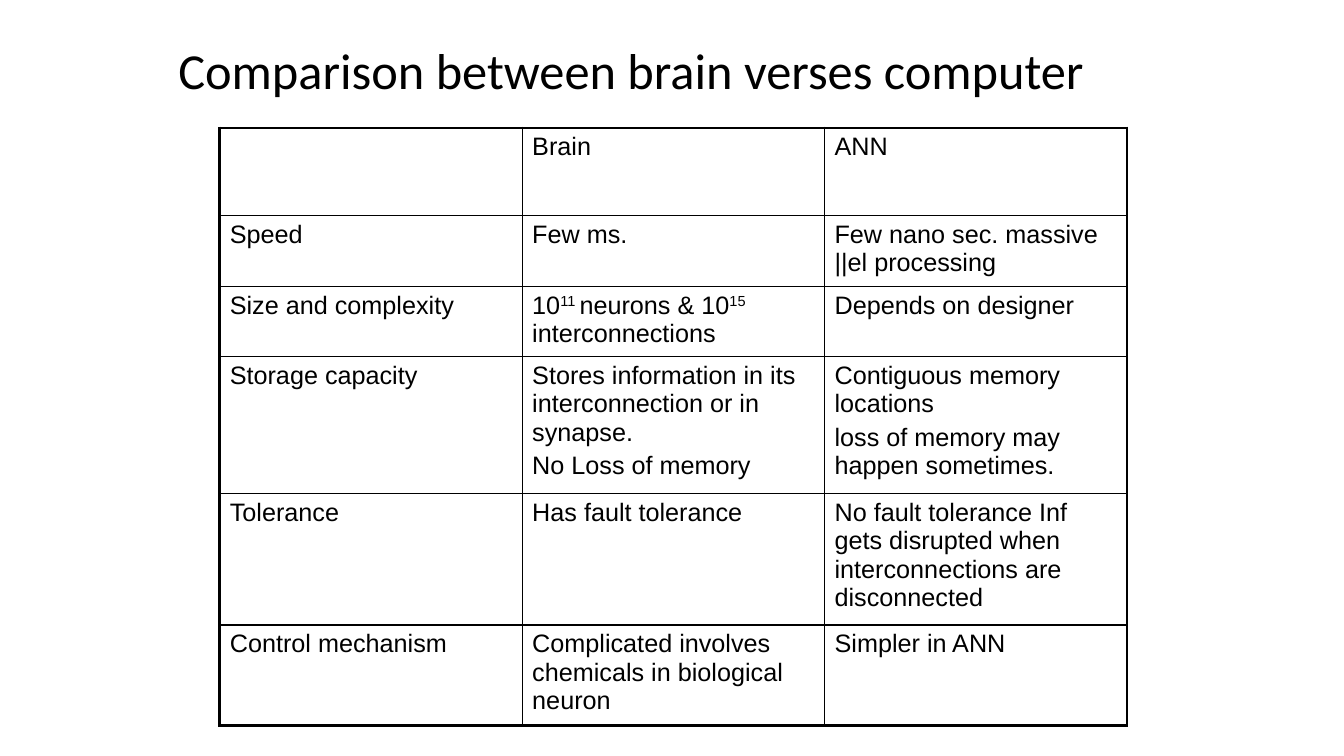
from dataclasses import dataclass

from lxml.etree import SubElement
from pptx import Presentation
from pptx.dml.color import RGBColor
from pptx.enum.text import MSO_ANCHOR
from pptx.oxml import parse_xml
from pptx.oxml.ns import nsdecls, qn
from pptx.table import _Cell as Cell
from pptx.text.text import TextFrame
from pptx.util import Inches, Pt


# Theme: colours, fonts, type sizes and line widths
@dataclass(frozen=True)
class Theme:
    ink: str = "000000"
    head: str = "Calibri"
    body: str = "Arial"
    large: int = 36
    small: int = 18
    thin: float = 1
    thick: float = 2.25


@dataclass(frozen=True)
class Box:
    """Place and size in per cent of the slide."""
    left: float
    top: float
    width: float
    height: float


@dataclass(frozen=True)
class Row:
    """Height in per cent of the slide, and one text per column.
    A line break starts a paragraph; carets enclose a superscript."""
    height: float
    cells: tuple[str, ...]


THEME = Theme()
WIDE, HIGH = Inches(13.33), Inches(7.5)
TITLE = Box(12.53, 4, 73, 11.33)
GRID = Box(16.35, 16.93, 67.5, 79.07)
ROWS = (
    Row(11.6, ("", "Brain", "ANN")),
    Row(9.33, ("Speed", "Few ms.", "Few nano sec. massive ||el processing")),
    Row(9.33, ("Size and complexity",
               "10^11 ^neurons & 10^15 ^interconnections",
               "Depends on designer")),
    Row(18.13, ("Storage capacity",
                "Stores information in its interconnection or in synapse.\n"
                "No Loss of memory",
                "Contiguous memory locations\n"
                "loss of memory may happen sometimes.")),
    Row(17.33, ("Tolerance", "Has fault tolerance",
                "No fault tolerance Inf gets disrupted when "
                "interconnections are disconnected")),
    Row(13.33, ("Control mechanism",
                "Complicated involves chemicals in biological neuron",
                "Simpler in ANN")),
)


def across(share: float) -> int:
    return round(WIDE * share / 100)


def down(share: float) -> int:
    return round(HIGH * share / 100)


def place(box: Box) -> tuple[int, int, int, int]:
    return across(box.left), down(box.top), across(box.width), down(box.height)


def write(frame: TextFrame, text: str, *, font: str, size: float,
          lead: float = 1, gap: int = 0) -> None:
    """Write paragraphs; gap is the space before, in per cent of a line."""
    for i, line in enumerate(text.split("\n")):
        para = frame.add_paragraph() if i else frame.paragraphs[0]
        para.line_spacing = lead
        para.font.size = Pt(size)
        if gap:
            space = SubElement(para._p.get_or_add_pPr(), qn("a:spcBef"))
            para._p.pPr.find(qn("a:lnSpc")).addnext(space)
            SubElement(space, qn("a:spcPct")).set("val", str(gap * 1000))
        for j, part in enumerate(line.split("^")):
            if not part:
                continue
            run = para.add_run()
            run.text = part
            run.font.name, run.font.size = font, Pt(size)
            run.font.color.rgb = RGBColor.from_string(THEME.ink)
            if j % 2:
                run._r.get_or_add_rPr().set("baseline", "30000")


def edge(cell: Cell, outer: dict[str, bool]) -> None:
    """Draw the four borders, thick on the outside of the table."""
    props = cell._tc.get_or_add_tcPr()
    for i, side in enumerate("LRTB"):
        width = Pt(THEME.thick if outer[side] else THEME.thin)
        props.insert(i, parse_xml(
            f'<a:ln{side} {nsdecls("a")} w="{width}"><a:solidFill>'
            f'<a:srgbClr val="{THEME.ink}"/></a:solidFill></a:ln{side}>'))


def main() -> None:
    deck = Presentation()
    deck.slide_width, deck.slide_height = WIDE, HIGH
    slide = deck.slides.add_slide(deck.slide_layouts[6])

    # Title
    frame = slide.shapes.add_textbox(*place(TITLE)).text_frame
    frame.word_wrap = True
    frame.vertical_anchor = MSO_ANCHOR.MIDDLE
    write(frame, "Comparison between brain verses computer",
          font=THEME.head, size=THEME.large, lead=0.9)

    # Comparison table
    count = len(ROWS[0].cells)
    table = slide.shapes.add_table(len(ROWS), count, *place(GRID)).table
    table.first_row = table.horz_banding = False
    for col in table.columns:
        col.width = across(GRID.width / count)
    for y, row in enumerate(ROWS):
        table.rows[y].height = down(row.height)
        for x, text in enumerate(row.cells):
            cell = table.cell(y, x)
            cell.fill.background()
            edge(cell, {"L": x == 0, "R": x == count - 1,
                        "T": y == 0, "B": y == len(ROWS) - 1})
            write(cell.text_frame, text, font=THEME.body,
                  size=THEME.small, gap=20)

    deck.save("out.pptx")


if __name__ == "__main__":
    main()
